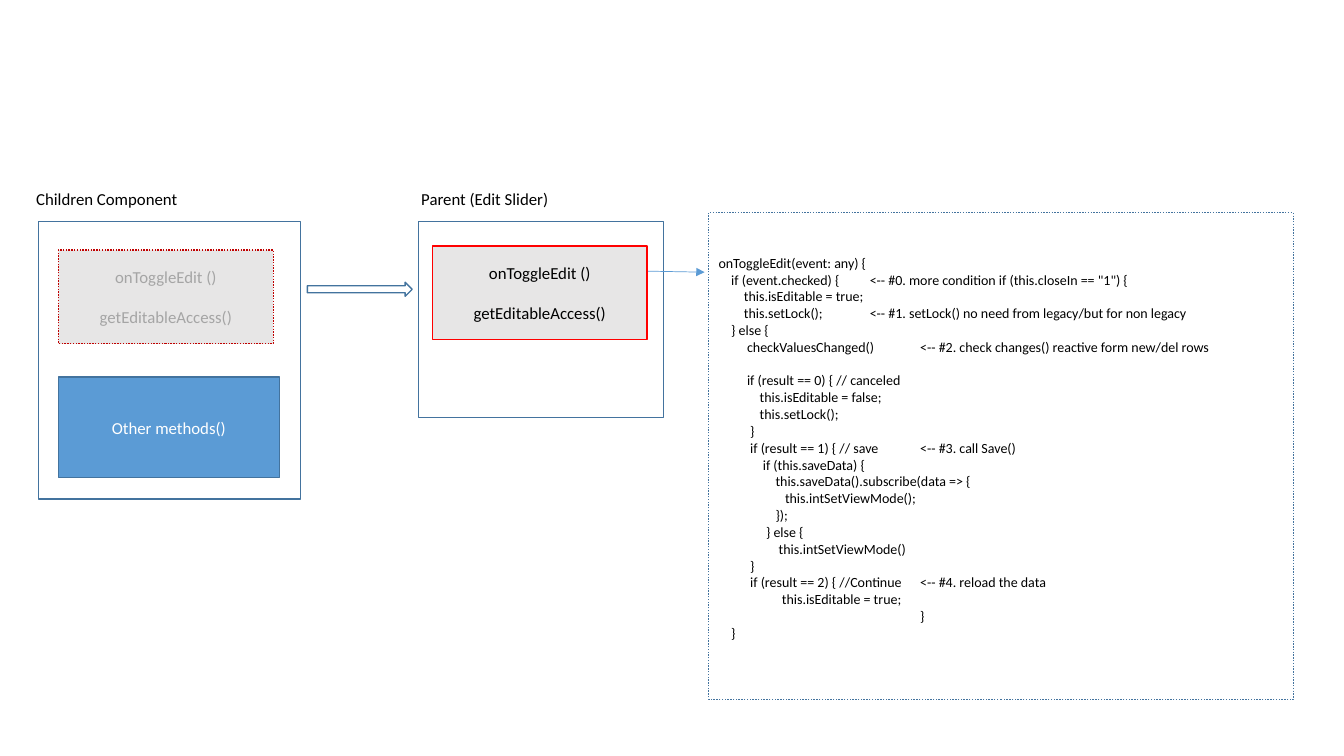
"""Build the slide that shows how edit toggling moves from child components to the parent."""
from dataclasses import dataclass
from typing import Optional

from lxml import etree
from pptx import Presentation
from pptx.dml.color import RGBColor
from pptx.enum import dml, shapes, text
from pptx.oxml import ns
from pptx.util import Pt

BLACK = RGBColor(0x00, 0x00, 0x00)
WHITE = RGBColor(0xFF, 0xFF, 0xFF)
GREY = RGBColor(0xA5, 0xA5, 0xA5)
PALE = RGBColor(0xE7, 0xE6, 0xE6)
BLUE = RGBColor(0x5B, 0x9B, 0xD5)
NAVY = RGBColor(0x43, 0x73, 0x9E)
RED = RGBColor(0xFF, 0x00, 0x00)
DARK_RED = RGBColor(0xC0, 0x00, 0x00)

FONT = "Calibri"
CODE_SPACE = 2.26
CODE_LINE = 12
LABEL_GAP = 14.6
METHODS = ("onToggleEdit ()", "getEditableAccess()")


@dataclass(frozen=True)
class Box:
    left: float
    top: float
    width: float
    height: float
    line: Optional[RGBColor] = NAVY
    fill: Optional[RGBColor] = None
    labels: tuple[str, ...] = ()
    color: RGBColor = BLACK
    dotted: bool = False
    preset: shapes.MSO_SHAPE = shapes.MSO_SHAPE.RECTANGLE


@dataclass(frozen=True)
class CodeLine:
    indent: float
    code: str
    remark: str = ""
    remark_at: float = 0
    gap: float = 0


BOXES = (
    Box(298.8, 158.4, 175, 139.7),
    Box(219.6, 201.6, 74.9, 10.1, preset=shapes.MSO_SHAPE.RIGHT_ARROW),
    Box(27.4, 158.4, 187.2, 198),
    Box(-5.8, 131, 164.2, 21.6, line=None, labels=("Children Component",)),
    Box(264.2, 131, 164.2, 21.6, line=None, labels=("Parent (Edit Slider)",)),
    Box(41.8, 178.6, 153.4, 67, DARK_RED, PALE, METHODS, GREY, dotted=True),
    Box(308.9, 175.7, 153.4, 67, RED, PALE, METHODS),
    Box(41.8, 269.3, 157.7, 72, NAVY, BLUE, ("Other methods()",), WHITE),
)
CODE_BOX = Box(506.2, 151.9, 417.6, 347.8, dotted=True)

CODE = (
    CodeLine(0, "onToggleEdit(event: any) {"),
    CodeLine(4, "if (event.checked) {", '<-- #0. more condition if (this.closeIn == "1") {', 160.7),
    CodeLine(8, "this.isEditable = true;"),
    CodeLine(8, "this.setLock();", "<-- #1. setLock() no need from legacy/but for non legacy", 162.1),
    CodeLine(4, "} else {"),
    CodeLine(9, "checkValuesChanged()", "<-- #2. check changes() reactive form new/del rows", 162.9),
    CodeLine(9, "if (result == 0) { // canceled", gap=CODE_LINE),
    CodeLine(13, "this.isEditable = false;"),
    CodeLine(13, "this.setLock();"),
    CodeLine(10, "}"),
    CodeLine(10, "if (result == 1) { // save", "<-- #3. call Save()", 170.7),
    CodeLine(14, "if (this.saveData) {"),
    CodeLine(18, "this.saveData().subscribe(data => {"),
    CodeLine(21, "this.intSetViewMode();"),
    CodeLine(18, "});"),
    CodeLine(15, "} else {"),
    CodeLine(19, "this.intSetViewMode()"),
    CodeLine(10, "}"),
    CodeLine(10, "if (result == 2) { //Continue", "<-- #4. reload the data", 175.7),
    CodeLine(20, "this.isEditable = true;"),
    CodeLine(63.72, "}"),
    CodeLine(4, "}"),
)


def style_font(para, size: float, color: RGBColor) -> None:
    """Set the face, size and colour of a paragraph."""
    para.font.name = FONT
    para.font.size = Pt(size)
    para.font.color.rgb = color


def draw_box(page, box: Box):
    """Draw one shape with its centred labels and return it."""
    frame = (Pt(box.left), Pt(box.top), Pt(box.width), Pt(box.height))
    if box.line is None:
        shape = page.shapes.add_textbox(*frame)
    else:
        shape = page.shapes.add_shape(box.preset, *frame)
        shape.shadow.inherit = False
        shape.line.color.rgb = box.line
        shape.line.width = Pt(1)
        if box.dotted:
            shape.line.dash_style = dml.MSO_LINE.ROUND_DOT
    if box.fill is None:
        shape.fill.background()
    else:
        shape.fill.solid()
        shape.fill.fore_color.rgb = box.fill
    body = shape.text_frame
    body.word_wrap = True
    body.vertical_anchor = text.MSO_ANCHOR.MIDDLE
    for index, label in enumerate(box.labels):
        para = body.add_paragraph() if index else body.paragraphs[0]
        para.text = label
        para.alignment = text.PP_ALIGN.CENTER
        para.space_before = Pt(LABEL_GAP if index else 0)
        style_font(para, 12, box.color)
    return shape


def write_code(body, lines: tuple[CodeLine, ...]) -> None:
    """Write the listing with first-line indents and a tab stop before each remark."""
    body.margin_bottom = Pt(3.6 + CODE_LINE)
    for index, line in enumerate(lines):
        para = body.add_paragraph() if index else body.paragraphs[0]
        para.text = f"{line.code}\t{line.remark}" if line.remark else line.code
        para.alignment = text.PP_ALIGN.LEFT
        para.space_before = Pt(line.gap)
        style_font(para, 10, BLACK)
        props = para._p.get_or_add_pPr()
        props.set("marL", "0")
        props.set("indent", str(Pt(line.indent * CODE_SPACE)))
        if line.remark:
            stops = etree.Element(ns.qn("a:tabLst"))
            etree.SubElement(stops, ns.qn("a:tab"), pos=str(Pt(line.remark_at)), algn="l")
            props.find(ns.qn("a:defRPr")).addprevious(stops)


def draw_arrow(page, left: float, top: float, right: float, bottom: float) -> None:
    """Draw a thin connector with a triangular head at its end."""
    arrow = page.shapes.add_connector(
        shapes.MSO_CONNECTOR.STRAIGHT, Pt(left), Pt(top), Pt(right), Pt(bottom))
    arrow.line.color.rgb = BLUE
    arrow.line.width = Pt(0.5)
    etree.SubElement(arrow.line._get_or_add_ln(), ns.qn("a:tailEnd"), type="triangle")
    etree.SubElement(arrow._element.spPr, ns.qn("a:effectLst"))


def main() -> None:
    """Build and save the deck."""
    deck = Presentation()
    deck.slide_width, deck.slide_height = Pt(960), Pt(540)
    page = deck.slides.add_slide(deck.slide_layouts[6])
    for box in BOXES:
        draw_box(page, box)
    write_code(draw_box(page, CODE_BOX).text_frame, CODE)
    draw_arrow(page, 463, 193.7, 503.3, 194.4)
    deck.save("out.pptx")


if __name__ == "__main__":
    main()
